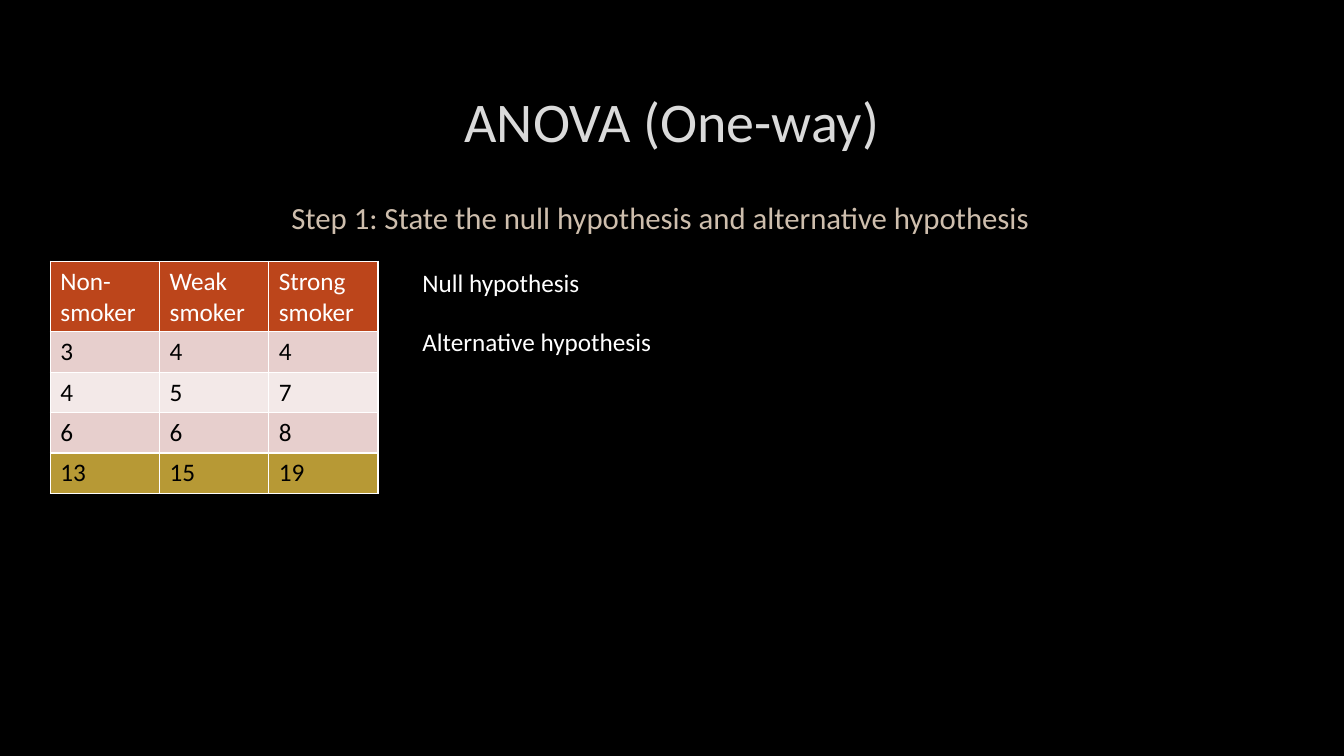
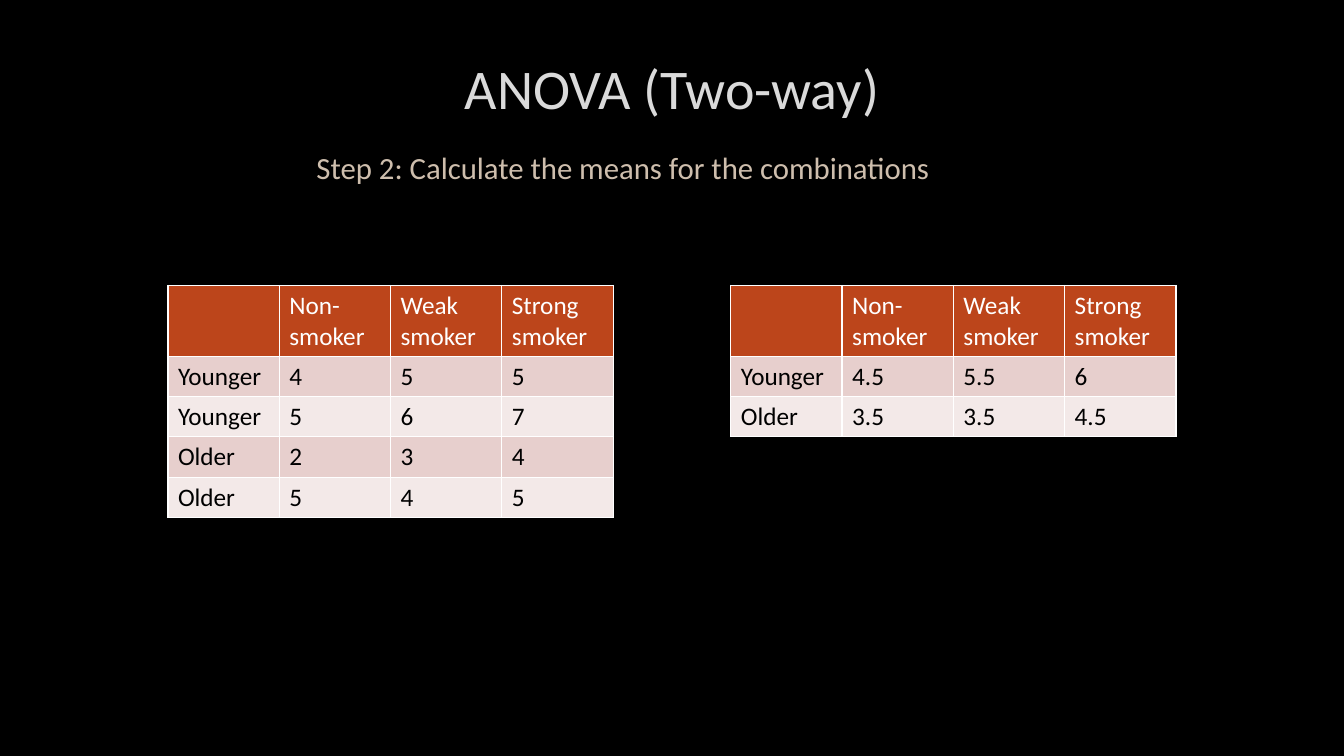
import pptx
import pptx.dml.color
import pptx.enum.text
import pptx.oxml
import pptx.oxml.ns
import pptx.util
from lxml import etree

FONT = "Calibri"
COLORS = {
    "background": "000000",
    "title": "DADADA",
    "step": "CEBEAD",
    "white": "FFFFFF",
    "ink": "000000",
    "header": "BC451B",
    "band_dark": "E7CFCD",
    "band_light": "F3E9E8",
    "total": "B79935",
}
SIZES = {"title": 40, "step": 22, "body": 18}
ALIGN = pptx.enum.text.PP_ALIGN
ANCHOR = pptx.enum.text.MSO_ANCHOR

# The slide is a grid of 160 columns by 90 rows of square units.
UNIT = pptx.util.Inches(13.333) / 160
TITLE_LEFT, TITLE_WIDTH, TITLE_HEIGHT = 12, 136, 12.7
HEADER_HEIGHT, ROW_HEIGHT = 8.4, 4.8
NOTE_WIDTH, NOTE_STEP = 31, 7.1

GROUPS = ["Non-smoker", "Weak smoker", "Strong smoker"]


def units(count):
    return pptx.util.Emu(round(count * UNIT))


def color(name):
    return pptx.dml.color.RGBColor.from_string(COLORS[name])


def add_span(para, text, size, color_name):
    span = para.add_run()
    span.text = text
    span.font.name = FONT
    span.font.size = pptx.util.Pt(SIZES[size])
    span.font.color.rgb = color(color_name)


def add_text(page, place, text, size, color_name,
             align=ALIGN.LEFT, anchor=ANCHOR.TOP, inset=0.1):
    box = page.shapes.add_textbox(*map(units, place))
    frame = box.text_frame
    frame.word_wrap = True
    frame.vertical_anchor = anchor
    frame.margin_left = pptx.util.Inches(inset)
    para = frame.paragraphs[0]
    para.alignment = align
    add_span(para, text, size, color_name)


def add_page(deck, title, title_top, step, step_left):
    """Add a black page with its title and the step line below it."""
    page = deck.slides.add_slide(deck.slide_layouts[6])
    page.background.fill.solid()
    page.background.fill.fore_color.rgb = color("background")
    add_text(page, (TITLE_LEFT, title_top, TITLE_WIDTH, TITLE_HEIGHT), title,
             "title", "title", ALIGN.CENTER, ANCHOR.MIDDLE)
    step_top = title_top + TITLE_HEIGHT + 0.4 + (title_top - 4) / 2
    add_text(page, (step_left, step_top, 160 - step_left, 6), step,
             "step", "step", inset=0.14)
    return page


def set_borders(cell):
    properties = cell._tc.get_or_add_tcPr()
    for position, side in enumerate(("lnL", "lnR", "lnT", "lnB")):
        line = pptx.oxml.parse_xml(
            f'<a:{side} {pptx.oxml.ns.nsdecls("a")} w="{pptx.util.Pt(1)}">'
            f'<a:solidFill><a:srgbClr val="{COLORS["white"]}"/></a:solidFill>'
            f'</a:{side}>')
        properties.insert(position, line)


def row_fill(index, last, has_total):
    if index == 0:
        return "header"
    if has_total and index == last:
        return "total"
    return "band_dark" if index % 2 else "band_light"


def add_data_table(page, left, top, width, rows, has_total=False):
    last = len(rows) - 1
    height = HEADER_HEIGHT + last * ROW_HEIGHT
    frame = page.shapes.add_table(len(rows), len(rows[0]),
                                  *map(units, (left, top, width, height)))
    table = frame.table
    for column in table.columns:
        column.width = units(width / len(rows[0]))
    for index, values in enumerate(rows):
        table.rows[index].height = units(ROW_HEIGHT if index else HEADER_HEIGHT)
        for column, value in enumerate(values):
            cell = table.cell(index, column)
            cell.fill.solid()
            cell.fill.fore_color.rgb = color(row_fill(index, last, has_total))
            set_borders(cell)
            if value:
                add_span(cell.text_frame.paragraphs[0], value, "body",
                         "ink" if index else "white")


def add_notes(page, left, top, notes):
    for index, note in enumerate(notes):
        place = (left, top + index * NOTE_STEP, NOTE_WIDTH, ROW_HEIGHT)
        add_text(page, place, note, "body", "white")


def add_one_way_page(deck):
    page = add_page(deck, "ANOVA (One-way)", 8,
                    "Step 1: State the null hypothesis and alternative hypothesis", 33)
    rows = [GROUPS, ["3", "4", "4"], ["4", "5", "7"], ["6", "6", "8"],
            ["13", "15", "19"]]
    add_data_table(page, 6, 31.1, 39, rows, has_total=True)
    add_notes(page, 49.1, 31.2, ["Null hypothesis", "Alternative hypothesis"])


def add_two_way_page(deck):
    page = add_page(deck, "ANOVA (Two-way)", 4,
                    "Step 2: Calculate the means for the combinations", 36)
    header = ["", *GROUPS]
    scores = [header, ["Younger", "4", "5", "5"], ["Younger", "5", "6", "7"],
              ["Older", "2", "3", "4"], ["Older", "5", "4", "5"]]
    means = [header, ["Younger", "4.5", "5.5", "6"],
             ["Older", "3.5", "3.5", "4.5"]]
    for left, rows in ((20, scores), (87, means)):
        add_data_table(page, left, 34, 53, rows)


def main():
    deck = pptx.Presentation()
    deck.slide_width = units(160)
    deck.slide_height = units(90)
    add_one_way_page(deck)
    add_two_way_page(deck)
    deck.save("out.pptx")


if __name__ == "__main__":
    main()
